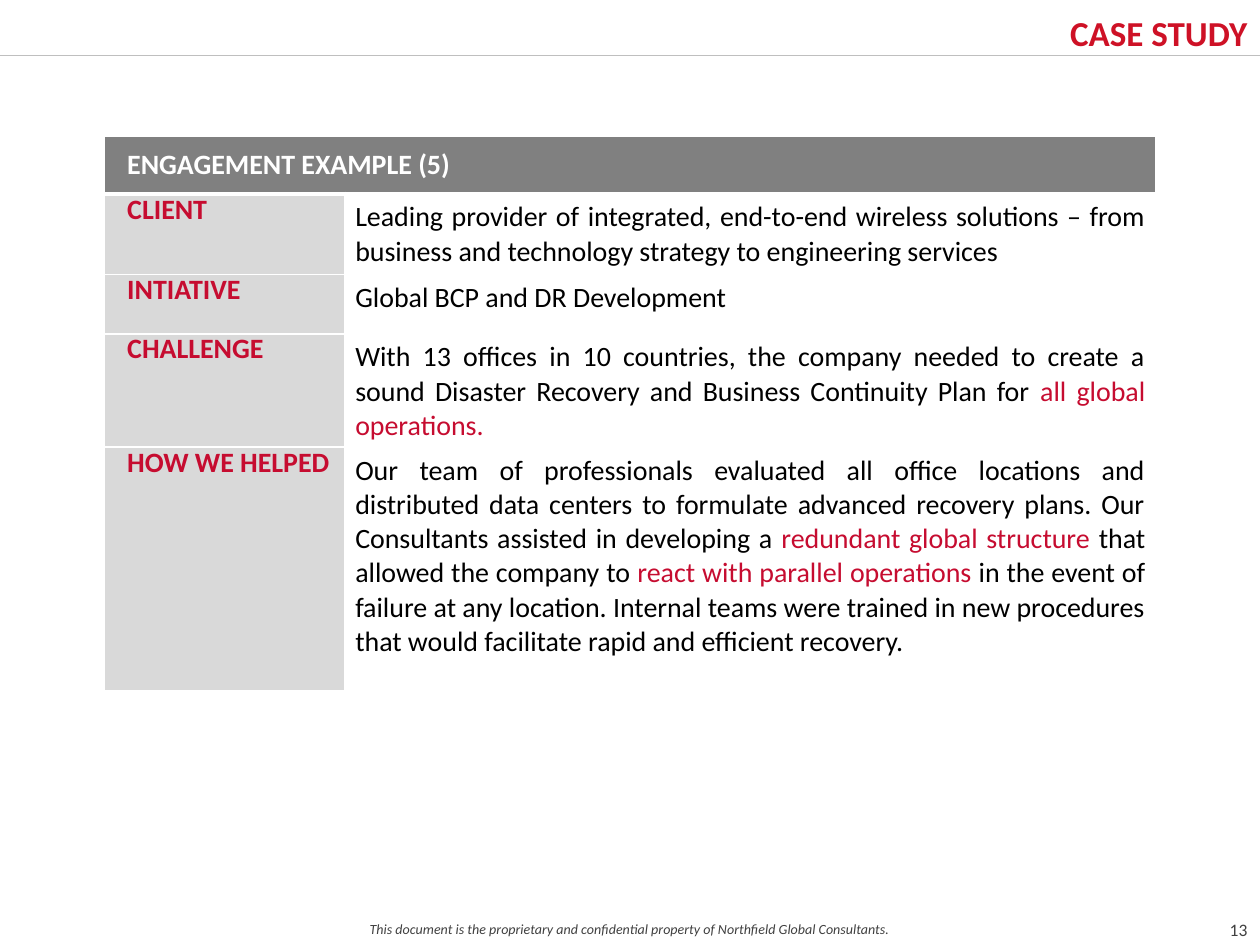
import pptx
import pptx.dml.color
import pptx.enum.shapes
import pptx.enum.text
import pptx.oxml
import pptx.oxml.ns
import pptx.util
from pptx.util import Inches

RED, BRIGHT_RED, BLACK, WHITE = "C60C30", "CE1126", "000000", "FFFFFF"
GREY, LIGHT_GREY, RULE_GREY, FOOTER_GREY = "808080", "D9D9D9", "BFBFBF", "404040"
ALIGN = pptx.enum.text.PP_ALIGN
ANCHOR = pptx.enum.text.MSO_ANCHOR


def rgb(value):
    return pptx.dml.color.RGBColor.from_string(value)


def add_span(para, text, size, color, bold=False, italic=False):
    span = para.add_run()
    span.text = text
    span.font.name = "Calibri"
    span.font.size = pptx.util.Pt(size)
    span.font.bold = bold
    span.font.italic = italic
    span.font.color.rgb = rgb(color)


deck = pptx.Presentation()
deck.slide_width, deck.slide_height = Inches(10), Inches(7.5)
page = deck.slides.add_slide(deck.slide_layouts[5])

# Title and the rule below it
title = page.shapes.title
title.left, title.top = Inches(4.01), Inches(0.02)
title.width, title.height = Inches(5.99), Inches(0.42)
frame = title.text_frame
frame.auto_size = pptx.enum.text.MSO_AUTO_SIZE.NONE
frame.word_wrap = True
frame.vertical_anchor = ANCHOR.TOP
frame.margin_left, frame.margin_right = 0, Inches(0.1)
frame.margin_top = frame.margin_bottom = Inches(0.07)
frame.paragraphs[0].alignment = ALIGN.RIGHT
add_span(frame.paragraphs[0], "CASE STUDY", 20, BRIGHT_RED, bold=True)

rule = page.shapes.add_connector(
    pptx.enum.shapes.MSO_CONNECTOR.STRAIGHT, 0, Inches(0.44), Inches(10), Inches(0.44))
rule.line.color.rgb = rgb(RULE_GREY)
rule.line.width = pptx.util.Pt(0.5)
rule._element.spPr.append(pptx.oxml.parse_xml(
    f"<a:effectLst {pptx.oxml.ns.nsdecls('a')}/>"))

# Footer note and page number
footers = [
    ("This document is the proprietary and confidential property of "
     "Northfield Global Consultants.", 0, 7.26, 10, 0.24, 8, True, ANCHOR.TOP),
    ("13", 9.6, 7.16, 0.46, 0.43, 10, False, ANCHOR.MIDDLE),
]
for text, left, top, width, height, size, italic, anchor in footers:
    box = page.shapes.add_textbox(Inches(left), Inches(top), Inches(width), Inches(height))
    frame = box.text_frame
    frame.word_wrap = True
    frame.vertical_anchor = anchor
    frame.margin_left = frame.margin_right = Inches(0.11)
    frame.paragraphs[0].alignment = ALIGN.CENTER
    add_span(frame.paragraphs[0], text, size, FOOTER_GREY, italic=italic)

# Engagement table: label, then (text, colour) spans
engagement = [
    ("CLIENT", [
        ("Leading provider of integrated, end-to-end wireless solutions – from "
         "business and technology strategy to engineering services", BLACK)]),
    ("INTIATIVE", [("Global BCP and DR Development", BLACK)]),
    ("CHALLENGE", [
        ("With 13 offices in 10 countries, the company needed to create a sound "
         "Disaster Recovery and Business Continuity Plan for ", BLACK),
        ("all global operations.", RED)]),
    ("HOW WE HELPED", [
        ("Our team of professionals evaluated all office locations and distributed "
         "data centers to formulate advanced recovery plans. Our Consultants "
         "assisted in developing a ", BLACK),
        ("redundant global structure ", RED),
        ("that allowed the company to ", BLACK),
        ("react with parallel operations ", RED),
        ("in the event of failure at any location. Internal teams were trained in "
         "new procedures that would facilitate rapid and efficient recovery.", BLACK)]),
]
row_heights = [0.46, 0.64, 0.47, 0.9, 1.93]
column_widths = [1.91, 6.43]
table = page.shapes.add_table(
    len(row_heights), len(column_widths), Inches(0.83), Inches(1.08),
    Inches(sum(column_widths)), Inches(sum(row_heights))).table
table.first_row = table.horz_banding = False
for row, height in zip(table.rows, row_heights):
    row.height = Inches(height)
for column, width in zip(table.columns, column_widths):
    column.width = Inches(width)

for row_index, row in enumerate(table.rows):
    for column_index, cell in enumerate(row.cells):
        for side in "LRTB":
            under_header = (row_index, side) in [(0, "B"), (1, "T")]
            weight = pptx.util.Pt(3 if under_header else 1)
            cell._tc.get_or_add_tcPr().append(pptx.oxml.parse_xml(
                f'<a:ln{side} {pptx.oxml.ns.nsdecls("a")} w="{weight}"><a:solidFill>'
                f'<a:srgbClr val="{WHITE}"/></a:solidFill></a:ln{side}>'))
        cell.fill.solid()
        cell.fill.fore_color.rgb = rgb(
            GREY if row_index == 0 else (LIGHT_GREY, WHITE)[column_index])
        cell.margin_left = Inches(0.18 if column_index == 0 else 0.08)
        cell.margin_right = Inches(0.08)
        cell.margin_top = cell.margin_bottom = Inches(0.05)

header = table.cell(0, 0)
header.merge(table.cell(0, 1))
header.vertical_anchor = ANCHOR.MIDDLE
add_span(header.text_frame.paragraphs[0], "ENGAGEMENT EXAMPLE (5)", 16, WHITE, bold=True)

for row_index, (label, spans) in enumerate(engagement, start=1):
    para = table.cell(row_index, 0).text_frame.paragraphs[0]
    para.alignment = ALIGN.JUSTIFY
    para.line_spacing = pptx.util.Pt(15)
    add_span(para, label, 16, RED, bold=True)
    para = table.cell(row_index, 1).text_frame.paragraphs[0]
    para.alignment = ALIGN.JUSTIFY
    for text, color in spans:
        add_span(para, text, 16, color)

deck.save("out.pptx")
